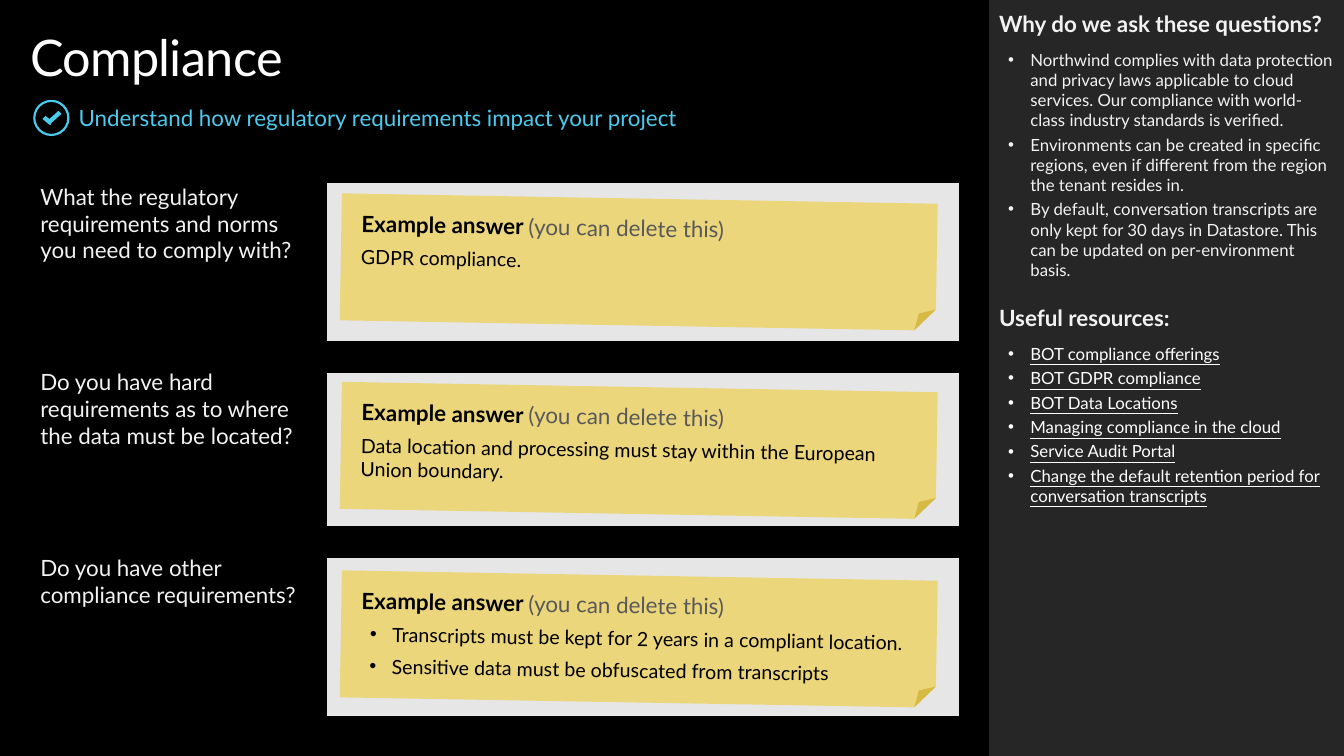
"""Build the compliance questionnaire slide."""
import pptx
import pptx.dml.color
import pptx.enum.shapes
import pptx.enum.text
import pptx.oxml.ns
import pptx.util
from lxml import etree
from pptx.util import Inches

COLORS = {
    "background": "000000", "panel": "262626", "accent": "4CCBED",
    "white": "FFFFFF", "light": "F2F2F2", "answer": "E6E6E6",
    "note": "F2C811", "ink": "000000", "muted": "595959",
}
REASONS = [
    "Northwind complies with data protection and privacy laws applicable to cloud services. "
    "Our compliance with world-class industry standards is verified.",
    "Environments can be created in specific regions, even if different from the region "
    "the tenant resides in.",
    "By default, conversation transcripts are only kept for 30 days in Datastore. "
    "This can be updated on per-environment basis.",
]
RESOURCES = [
    "BOT compliance offerings", "BOT GDPR compliance", "BOT Data Locations",
    "Managing compliance in the cloud", "Service Audit Portal",
    "Change the default retention period for conversation transcripts",
]
QUESTIONS = [
    ("What the regulatory requirements and norms you need to comply with?",
     ["GDPR compliance."]),
    ("Do you have hard requirements as to where the data must be located?",
     ["Data location and processing must stay within the European Union boundary."]),
    ("Do you have other compliance requirements?",
     ["Transcripts must be kept for 2 years in a compliant location.",
      "Sensitive data must be obfuscated from transcripts"]),
]


def rgb(name):
    """Return the named colour."""
    return pptx.dml.color.RGBColor.from_string(COLORS[name])


def add_element(parent, tag, **attributes):
    """Append a DrawingML element to a parent."""
    return etree.SubElement(parent, pptx.oxml.ns.qn(tag), attributes)


def fill_shape(shape, color):
    """Give a shape a plain fill without line or shadow."""
    shape.shadow.inherit = False
    shape.fill.solid()
    shape.fill.fore_color.rgb = rgb(color)
    shape.line.fill.background()


def style_run(run, size, color, bold=False, underline=None):
    """Format one run."""
    run.font.name = "Lato"
    run.font.size = pptx.util.Pt(size)
    run.font.color.rgb = rgb(color)
    run.font.bold = bold
    run.font.underline = underline


def style_paragraph(paragraph, bullet=False, before=0, after=0):
    """Set the bullet, alignment and spacing of a paragraph."""
    properties = paragraph._p.get_or_add_pPr()
    properties.set("marL", str(Inches(0.31 if bullet else 0)))
    properties.set("indent", str(Inches(-0.22 if bullet else 0)))
    if bullet:
        add_element(properties, "a:buFont", typeface="Arial")
        add_element(properties, "a:buChar", char="•")
    else:
        add_element(properties, "a:buNone")
    paragraph.alignment = pptx.enum.text.PP_ALIGN.LEFT
    paragraph.line_spacing = 1.0
    paragraph.space_before = pptx.util.Pt(before)
    paragraph.space_after = pptx.util.Pt(after)


def set_frame(frame, horizontal=0, vertical=0, anchor="TOP"):
    """Set the insets, wrapping and anchor of a text frame."""
    frame.margin_left = frame.margin_right = Inches(horizontal)
    frame.margin_top = frame.margin_bottom = Inches(vertical)
    frame.word_wrap = True
    frame.auto_size = pptx.enum.text.MSO_AUTO_SIZE.NONE
    frame.vertical_anchor = pptx.enum.text.MSO_ANCHOR[anchor]


def place(shape, left, top, width, height):
    """Move and size a shape in inches."""
    shape.left, shape.top = Inches(left), Inches(top)
    shape.width, shape.height = Inches(width), Inches(height)


def add_header(slide, left, top, width):
    """Write the title and the subtitle with its check mark."""
    title, subtitle = slide.shapes.title, slide.placeholders[1]
    place(title, left, top, width, 0.61)
    place(subtitle, left + 0.48, top + 0.77, width - 0.48, 0.27)
    lines = [
        (title, "Compliance", 36, "white", "TOP"),
        (subtitle, "Understand how regulatory requirements impact your project",
         16, "accent", "MIDDLE"),
    ]
    for shape, text, size, color, anchor in lines:
        set_frame(shape.text_frame, anchor=anchor)
        paragraph = shape.text_frame.paragraphs[0]
        paragraph.text = text
        style_paragraph(paragraph)
        style_run(paragraph.runs[0], size, color)
    title.text_frame.paragraphs[0].runs[0].font._element.set("spc", "-50")
    add_check_icon(slide, left + 0.03, top + 0.73, 0.36)


def add_check_icon(slide, left, top, size):
    """Draw a ring around a check mark."""
    ring = slide.shapes.add_shape(
        pptx.enum.shapes.MSO_SHAPE.DONUT,
        Inches(left), Inches(top), Inches(size), Inches(size))
    ring.adjustments[0] = 0.06
    fill_shape(ring, "accent")
    points = [(0.25, 0.11), (0.16, 0.19), (0.12, 0.16), (0.09, 0.19),
              (0.15, 0.24), (0.17, 0.25), (0.18, 0.23), (0.28, 0.14)]
    corners = [(Inches(left + x), Inches(top + y)) for x, y in points]
    builder = slide.shapes.build_freeform(*corners[0])
    builder.add_line_segments(corners[1:], close=True)
    fill_shape(builder.convert_to_shape(), "accent")


def add_sidebar(slide, left, top, width):
    """Fill the side panel with the reasons and the resources."""
    panel = slide.shapes.add_shape(
        pptx.enum.shapes.MSO_SHAPE.RECTANGLE,
        Inches(left), Inches(top), Inches(width), Inches(7.5))
    fill_shape(panel, "panel")
    panel.element.getparent().insert(2, panel.element)
    body = slide.placeholders[2]
    place(body, left, top, width, 5.16)
    frame = body.text_frame
    set_frame(frame, 0.1, 0.1)
    sections = [("Why do we ask these questions?", REASONS, "light", None, 0),
                ("Useful resources:", RESOURCES, "white", True, 17.5)]
    for heading, items, color, underline, before in sections:
        paragraph = frame.add_paragraph() if before else frame.paragraphs[0]
        paragraph.text = heading
        style_paragraph(paragraph, before=before, after=6)
        style_run(paragraph.runs[0], 16, "light", bold=True)
        for item in items:
            paragraph = frame.add_paragraph()
            paragraph.text = item
            style_paragraph(paragraph, bullet=True, before=3)
            style_run(paragraph.runs[0], 12, color, underline=underline)


def style_cell(cell, fill, top_border, bottom_border):
    """Set the insets, borders and fill of a table cell."""
    cell.margin_left = cell.margin_top = cell.margin_bottom = 0
    cell.margin_right = Inches(0.1)
    properties = cell._tc.get_or_add_tcPr()
    borders = {"L": False, "R": False, "T": top_border, "B": bottom_border}
    for side, visible in borders.items():
        line = add_element(properties, f"a:ln{side}", w=str(pptx.util.Pt(6)))
        if visible:
            solid = add_element(line, "a:solidFill")
            add_element(solid, "a:srgbClr", val=COLORS["background"])
        else:
            add_element(line, "a:noFill")
    cell.fill.solid()
    cell.fill.fore_color.rgb = rgb(fill)


def add_questions(slide, left, top, width):
    """Lay out the question table and a sticky note per answer."""
    row_height, gap, question_width = 1.6, 0.24, 2.84
    row_count = 2 * len(QUESTIONS) - 1
    table = slide.shapes.add_table(
        row_count, 2, Inches(left), Inches(top), Inches(width), Inches(5.28)).table
    table.first_row = table.horz_banding = False
    table.columns[0].width = Inches(question_width)
    table.columns[1].width = Inches(width - question_width)
    for index, row in enumerate(table.rows):
        is_gap = index % 2 == 1
        row.height = Inches(gap if is_gap else row_height)
        for cell, fill in zip(row.cells, ("background", "background" if is_gap else "answer")):
            style_cell(cell, fill, index > 0, index < row_count - 1)
            add_element(cell.text_frame.paragraphs[0]._p, "a:endParaRPr", sz="1200")
    for index, (question, answers) in enumerate(QUESTIONS):
        paragraph = table.cell(2 * index, 0).text_frame.paragraphs[0]
        paragraph.text = question
        style_run(paragraph.runs[0], 16, "light")
        add_note(slide, left + question_width + 0.14, top + 0.15 + 1.87 * index, answers)


def add_note(slide, left, top, answers):
    """Place a tilted sticky note with an example answer."""
    note = slide.shapes.add_shape(
        pptx.enum.shapes.MSO_SHAPE.FOLDED_CORNER,
        Inches(left), Inches(top), Inches(5.91), Inches(1.26))
    note.rotation = 1
    fill_shape(note, "note")
    color = note.element.spPr.find(".//" + pptx.oxml.ns.qn("a:srgbClr"))
    add_element(color, "a:alpha", val="50000")
    frame = note.text_frame
    set_frame(frame, 0.2, 0.16)
    heading = frame.paragraphs[0]
    heading.text = "Example answer "
    heading.add_run().text = "(you can delete this)"
    style_paragraph(heading, after=6)
    style_run(heading.runs[0], 16, "ink", bold=True)
    style_run(heading.runs[1], 16, "muted")
    for answer in answers:
        paragraph = frame.add_paragraph()
        paragraph.text = answer
        style_paragraph(paragraph, bullet=len(answers) > 1, after=6)
        style_run(paragraph.runs[0], 14, "ink")


def main():
    """Create and save the presentation."""
    presentation = pptx.Presentation()
    presentation.slide_width, presentation.slide_height = Inches(13.33), Inches(7.5)
    slide = presentation.slides.add_slide(presentation.slide_layouts[3])
    slide.background.fill.solid()
    slide.background.fill.fore_color.rgb = rgb("background")
    add_sidebar(slide, 9.81, 0, 3.52)
    add_header(slide, 0.3, 0.26, 9.21)
    add_questions(slide, 0.4, 1.82, 9.11)
    presentation.save("out.pptx")


if __name__ == "__main__":
    main()
